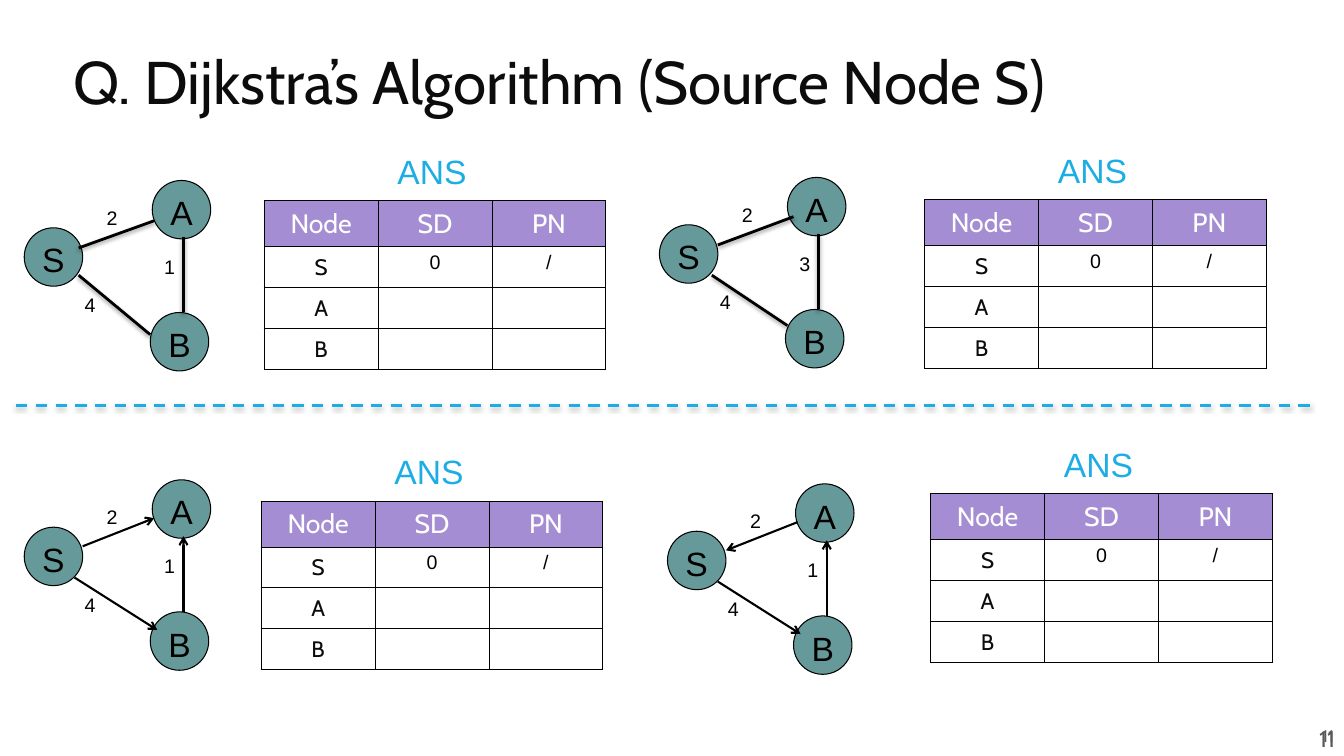
from lxml.etree import SubElement
from pptx import Presentation
from pptx.dml.color import RGBColor
from pptx.enum.dml import MSO_LINE
from pptx.enum.shapes import MSO_CONNECTOR, MSO_SHAPE
from pptx.enum.text import MSO_ANCHOR, PP_ALIGN
from pptx.oxml import parse_xml
from pptx.oxml.ns import nsdecls, qn
from pptx.util import Inches, Pt

BLACK, INK, WHITE, GREY = "000000", "0C0C0C", "FFFFFF", "595959"
BLUE, TEAL, PURPLE = "1CADE4", "669999", "A48DD3"

NODES = {"S": (0, 0), "A": (1.27, -0.47), "B": (1.25, 0.84)}
NODE_SIZE = 0.58
COLUMN_WIDTH = 1.13
ROW_HEIGHTS = (0.45, 0.4, 0.4, 0.4)
ANSWER_ROWS = (("Node", "SD", "PN"), ("S", "0", "/"), ("A", "", ""), ("B", "", ""))

# Edge ends and weight positions are offsets from the top left of node S.
EDGE_AB = ((1.58, 0.84), (1.58, 0.09))
DIRECTED_SA = ((0.58, 0.19), (1.29, -0.09))
REVERSED_SA = DIRECTED_SA[::-1]
DIRECTED_SB = ((0.5, 0.5), (1.32, 1.02))
WEIGHT_PLACES = ((0.72, -0.27), (0.5, 0.6), (1.29, 0.22))

# Node S origin, answer table origin, edges S-A and S-B, weights, directed
QUESTIONS = (
    ((0.24, 2.26), (2.62, 1.99), ((0.54, 0.2), (1.29, -0.07)),
     ((0.54, 0.47), (1.25, 1.06)), "241", False),
    ((6.54, 2.23), (9.17, 1.98), ((0.58, 0.2), (1.33, -0.08)),
     ((0.52, 0.5), (1.27, 1.0)), "243", False),
    ((0.24, 5.23), (2.59, 4.97), DIRECTED_SA, DIRECTED_SB, "241", True),
    ((6.62, 5.27), (9.23, 4.9), REVERSED_SA, DIRECTED_SB, "241", True),
)


def rgb(value):
    return RGBColor.from_string(value)


def shift(origin, offset):
    return origin[0] + offset[0], origin[1] + offset[1]


class SlideBuilder:
    """Holds the current slide and its fonts, and adds styled elements."""

    def __init__(self, slide, heading_font="Cabin", body_font="Arial"):
        self.slide = slide
        self.heading_font = heading_font
        self.body_font = body_font

    def add_words(self, frame, words, size, color, font, align=PP_ALIGN.LEFT):
        paragraph = frame.paragraphs[0]
        paragraph.alignment = align
        run = paragraph.add_run()
        run.text = words
        run.font.size = Pt(size)
        run.font.name = font
        run.font.bold = False
        run.font.color.rgb = rgb(color)
        return paragraph

    def text(self, place, extent, words, size, color, font=None,
             align=PP_ALIGN.LEFT, anchor=MSO_ANCHOR.MIDDLE, inset=0.05):
        box = self.slide.shapes.add_textbox(*map(Inches, (*place, *extent)))
        frame = box.text_frame
        frame.word_wrap = True
        frame.vertical_anchor = anchor
        frame.margin_top = frame.margin_bottom = Inches(inset)
        return self.add_words(frame, words, size, color, font or self.body_font, align)

    def node(self, place, letter):
        circle = self.slide.shapes.add_shape(
            MSO_SHAPE.OVAL, *map(Inches, (*place, NODE_SIZE, NODE_SIZE)))
        circle.shadow.inherit = False
        circle.fill.solid()
        circle.fill.fore_color.rgb = rgb(TEAL)
        circle.line.color.rgb = rgb(BLACK)
        circle.line.width = Pt(0.75)
        frame = circle.text_frame
        frame.word_wrap = False
        frame.vertical_anchor = MSO_ANCHOR.MIDDLE
        frame.margin_left = frame.margin_right = frame.margin_bottom = 0
        frame.margin_top = Inches(0.05)
        self.add_words(frame, letter, 24, BLACK, self.body_font, PP_ALIGN.CENTER)

    def line(self, start, end, width=2, color=BLACK, dashed=False,
             arrow=False, shadow=False):
        connector = self.slide.shapes.add_connector(
            MSO_CONNECTOR.STRAIGHT, *map(Inches, (*start, *end)))
        connector.line.color.rgb = rgb(color)
        connector.line.width = Pt(width)
        if dashed:
            connector.line.dash_style = MSO_LINE.DASH
        properties = connector._element.spPr
        if arrow:
            SubElement(properties.find(qn("a:ln")), qn("a:tailEnd"), type="arrow")
        effects = SubElement(properties, qn("a:effectLst"))
        if shadow:
            effects.append(parse_xml(
                f'<a:outerShdw {nsdecls("a")} blurRad="{Pt(3.1)}" dist="{Pt(1.6)}" '
                'dir="5400000" rotWithShape="0"><a:srgbClr val="000000">'
                '<a:alpha val="38000"/></a:srgbClr></a:outerShdw>'))

    def cell_borders(self, cell):
        properties = cell._tc.get_or_add_tcPr()
        for index, side in enumerate("LRTB"):
            properties.insert(index, parse_xml(
                f'<a:ln{side} {nsdecls("a")} w="{Pt(0.75)}"><a:solidFill>'
                f'<a:srgbClr val="{BLACK}"/></a:solidFill></a:ln{side}>'))

    def answer_table(self, place):
        columns = len(ANSWER_ROWS[0])
        table = self.slide.shapes.add_table(
            len(ANSWER_ROWS), columns, *map(Inches, (
                *place, columns * COLUMN_WIDTH, sum(ROW_HEIGHTS)))).table
        for row, height in zip(table.rows, ROW_HEIGHTS):
            row.height = Inches(height)
        for row, entries in enumerate(ANSWER_ROWS):
            for column, entry in enumerate(entries):
                cell = table.cell(row, column)
                cell.fill.solid()
                cell.fill.fore_color.rgb = rgb(WHITE if row else PURPLE)
                self.cell_borders(cell)
                if row and column:
                    style = (14, BLACK, self.body_font)
                else:
                    style = (16, INK, self.heading_font) if row else (
                        19, WHITE, self.heading_font)
                    cell.vertical_anchor = MSO_ANCHOR.MIDDLE
                    cell.margin_left = cell.margin_right = Inches(0.07)
                    cell.margin_top = cell.margin_bottom = Inches(0.07)
                if entry:
                    self.add_words(cell.text_frame, entry, *style, PP_ALIGN.CENTER)
        self.text(shift(place, (0.41, -0.55)), (2.51, 0.51), "ANS", 24, BLUE,
                  align=PP_ALIGN.CENTER)

    def graph(self, origin, edges, weights, directed):
        for letter, offset in NODES.items():
            self.node(shift(origin, offset), letter)
        for start, end in edges:
            self.line(shift(origin, start), shift(origin, end),
                      width=1.5 if directed else 2,
                      arrow=directed, shadow=not directed)
        for weight, offset in zip(weights, WEIGHT_PLACES):
            self.text(shift(origin, offset), (NODE_SIZE, 0.34), weight, 14, BLACK,
                      anchor=MSO_ANCHOR.TOP)

    def page_number(self, place, extent, size):
        self.text(place, extent, "11", size, GREY, self.heading_font,
                  PP_ALIGN.RIGHT, inset=0.1)


def main():
    presentation = Presentation()
    presentation.slide_width = Inches(13.33)
    presentation.slide_height = Inches(7.5)
    builder = SlideBuilder(presentation.slides.add_slide(presentation.slide_layouts[6]))

    builder.page_number((8.65, 7.1), (4.68, 0.4), 12)
    title = builder.text((0.63, 0.29), (12.23, 1.11),
                         "Q. Dijkstra’s Algorithm (Source Node S)", 43, INK,
                         builder.heading_font)
    title.line_spacing = 0.9
    builder.line((0.16, 4.02), (12.99, 4.02), color=BLUE, dashed=True, shadow=True)
    for origin, table_place, edge_sa, edge_sb, weights, directed in QUESTIONS:
        builder.graph(origin, (edge_sa, edge_sb, EDGE_AB), weights, directed)
        builder.answer_table(table_place)
    builder.page_number((12.76, 7.1), (0.58, 0.46), 16)

    presentation.save("out.pptx")


if __name__ == "__main__":
    main()
